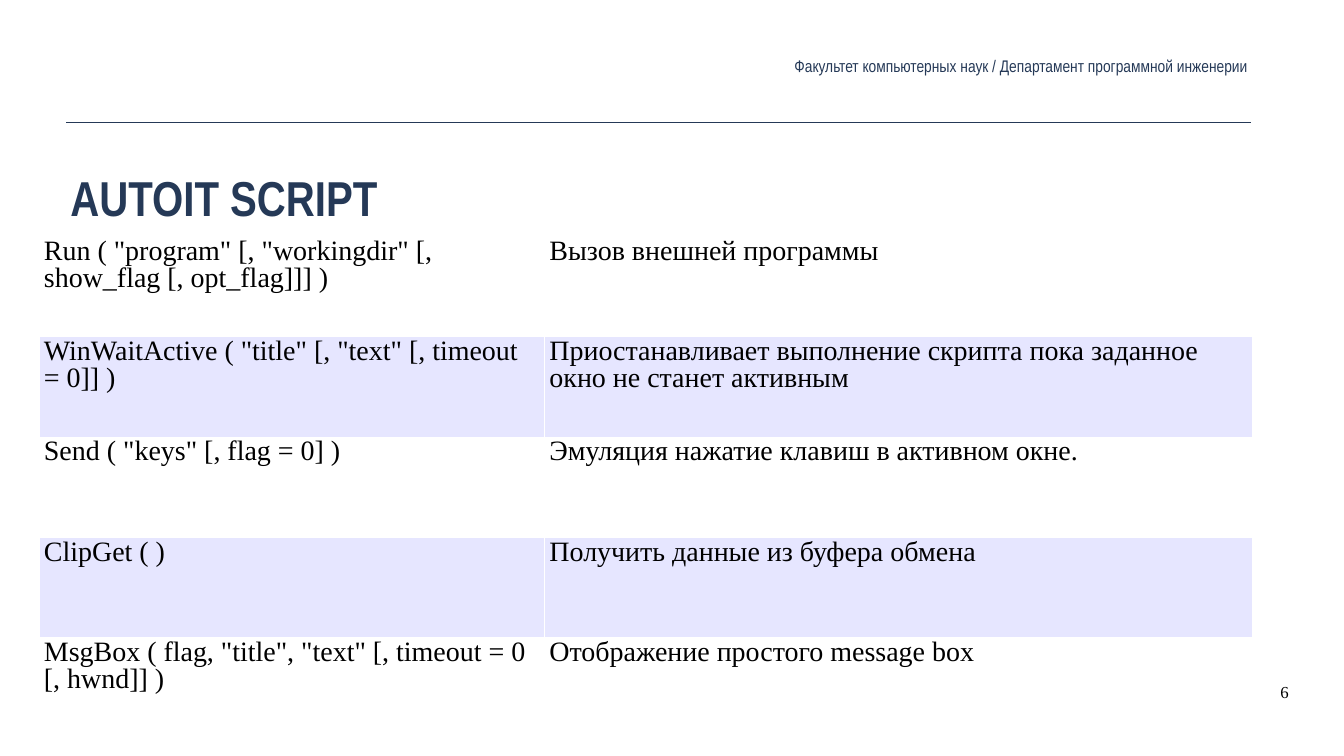
"""Build the slide that lists the AutoIt script functions."""
from lxml import etree
from pptx import Presentation
from pptx.dml.color import RGBColor
from pptx.enum.shapes import MSO_CONNECTOR
from pptx.enum.text import MSO_ANCHOR, PP_ALIGN
from pptx.oxml.ns import qn
from pptx.util import Cm, Pt

STRAIGHT = MSO_CONNECTOR.STRAIGHT
TOP, MIDDLE = MSO_ANCHOR.TOP, MSO_ANCHOR.MIDDLE
LEFT, RIGHT = PP_ALIGN.LEFT, PP_ALIGN.RIGHT

TITLE = "AUTOIT SCRIPT"
HEADER = "Факультет компьютерных наук / Департамент программной инженерии"
PAGE_NUMBER = "6"
FUNCTIONS = [
    ('Run ( "program" [, "workingdir" [, show_flag [, opt_flag]]] )',
     "Вызов внешней программы"),
    ('WinWaitActive ( "title" [, "text" [, timeout = 0]] )',
     "Приостанавливает выполнение скрипта пока заданное окно не станет активным"),
    ('Send ( "keys" [, flag = 0] )',
     "Эмуляция нажатие клавиш в активном окне."),
    ("ClipGet ( )",
     "Получить данные из буфера обмена"),
    ('MsgBox ( flag, "title", "text" [, timeout = 0 [, hwnd]] )',
     "Отображение простого message box"),
]
COLUMN_WIDTHS = (25.48, 35.64)
ROW_HEIGHT = 5.05

THEME = {
    "navy": "253957",
    "black": "000000",
    "border": "FFFFFF",
    "bands": ("FFFFFF", "E6E6FF"),
    "heading_font": "Arial Narrow",
    "body_font": "Times New Roman",
    "title_size": 70,
    "table_size": 40,
    "small_size": 24,
    "line_spacing": 0.87,
}


def style_text(frame, font, size, color, bold=False):
    for para in frame.paragraphs:
        for span in para.runs:
            span.font.name = font
            span.font.size = Pt(size)
            span.font.bold = bold
            span.font.color.rgb = RGBColor.from_string(color)


def add_text(page, text, place, font, size, color, bold=False,
             align=LEFT, anchor=TOP, insets=(0.2, 0.2)):
    box = page.shapes.add_textbox(*map(Cm, place))
    frame = box.text_frame
    frame.word_wrap = True
    frame.vertical_anchor = anchor
    frame.margin_left = frame.margin_right = Cm(insets[0])
    frame.margin_top = frame.margin_bottom = Cm(insets[1])
    frame.text = text
    frame.paragraphs[0].alignment = align
    style_text(frame, font, size, color, bold)


def add_rule(page):
    rule = page.shapes.add_connector(STRAIGHT, Cm(3.33), Cm(6.15), Cm(63.07), Cm(6.15))
    rule.line.color.rgb = RGBColor.from_string(THEME["navy"])
    rule.line.width = Pt(1)
    etree.SubElement(rule._element.spPr, qn("a:effectLst"))


def add_borders(cell):
    properties = cell._tc.get_or_add_tcPr()
    for side in ("L", "R", "T", "B"):
        border = etree.SubElement(properties, qn(f"a:ln{side}"), w=str(Pt(0.06)))
        fill = etree.SubElement(border, qn("a:solidFill"))
        etree.SubElement(fill, qn("a:srgbClr"), val=THEME["border"])


def add_function_table(page):
    frame = page.shapes.add_table(
        len(FUNCTIONS), len(COLUMN_WIDTHS), Cm(1.96), Cm(11.91),
        Cm(sum(COLUMN_WIDTHS)), Cm(ROW_HEIGHT * len(FUNCTIONS)))
    table = frame.table
    table.first_row = table.horz_banding = False
    for column, width in zip(table.columns, COLUMN_WIDTHS):
        column.width = Cm(width)
    for index, (row, texts) in enumerate(zip(table.rows, FUNCTIONS)):
        row.height = Cm(ROW_HEIGHT)
        for cell, text in zip(row.cells, texts):
            add_borders(cell)
            cell.fill.solid()
            cell.fill.fore_color.rgb = RGBColor.from_string(THEME["bands"][index % 2])
            cell.text_frame.text = text
            cell.text_frame.paragraphs[0].line_spacing = THEME["line_spacing"]
            style_text(cell.text_frame, THEME["body_font"],
                       THEME["table_size"], THEME["black"])


def main():
    deck = Presentation()
    deck.slide_width, deck.slide_height = Cm(67.74), Cm(38.1)
    page = deck.slides.add_slide(deck.slide_layouts[6])
    add_rule(page)
    add_text(page, TITLE, (3.35, 8.25, 59.51, 4.39), THEME["heading_font"],
             THEME["title_size"], THEME["navy"], bold=True)
    add_text(page, HEADER, (31.5, 2.62, 31.57, 1.42), THEME["heading_font"],
             THEME["small_size"], THEME["navy"], align=RIGHT, anchor=MIDDLE)
    add_text(page, PAGE_NUMBER, (64.29, 34.21, 3.3, 1.17), THEME["body_font"],
             THEME["small_size"], THEME["black"], insets=(0.25, 0.13))
    add_function_table(page)
    deck.save("out.pptx")


if __name__ == "__main__":
    main()
